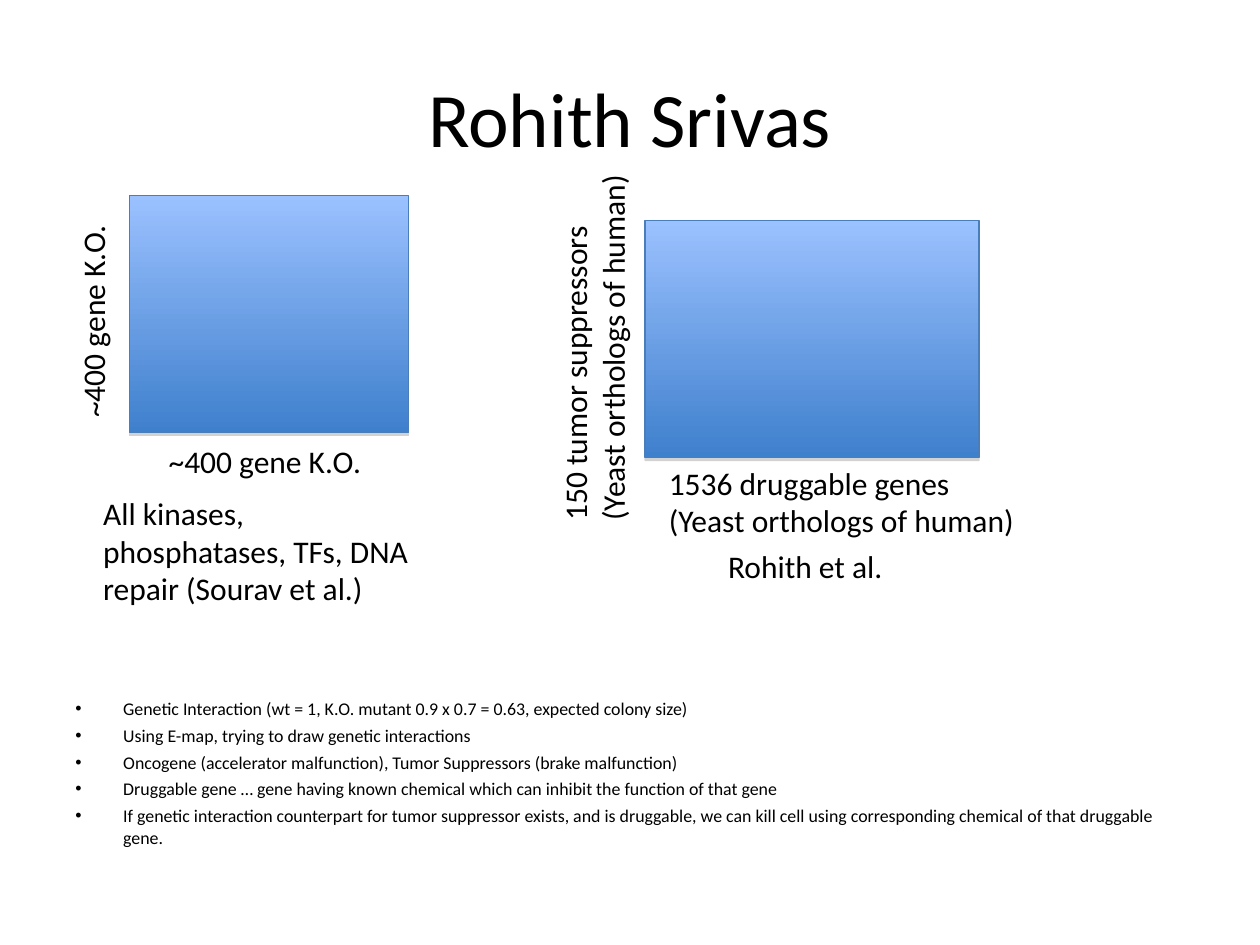
"""Build the slide on gene knock-out screens and druggable genes."""
from lxml.etree import SubElement
from pptx import Presentation
from pptx.dml.color import RGBColor
from pptx.enum.shapes import MSO_SHAPE
from pptx.enum.text import MSO_ANCHOR, MSO_AUTO_SIZE, PP_ALIGN
from pptx.oxml.ns import qn
from pptx.util import Inches, Pt

THEME = {
    "font": "Calibri",
    "text": "000000",
    "gradient": ("9BC1FF", "3F80CD"),
    "outline": "4A7EBB",
    "shadow": "808080",
    "title_size": 44,
    "label_size": 18,
    "bullet_size": 10.2,
}
SLIDE_SIZE = Inches(10), Inches(7.5)

TITLE = ("Rohith Srivas", (5, 4, 90, 16.67))
BULLETS = (
    [
        "Genetic Interaction (wt = 1, K.O. mutant 0.9 x 0.7 = 0.63, expected colony size)",
        "Using E-map, trying to draw genetic interactions",
        "Oncogene (accelerator malfunction), Tumor Suppressors (brake malfunction)",
        "Druggable gene … gene having known chemical which can inhibit the function of that gene",
        "If genetic interaction counterpart for tumor suppressor exists, and is druggable, "
        "we can kill cell using corresponding chemical of that druggable gene.",
    ],
    (5, 73.2, 90, 16.13),
)
SCREENS = [
    {
        "matrix": (10.3, 20.67, 22.1, 25.07),
        "labels": [
            (["~400 gene K.O."], (-1.3, 31.33, 17.3, 5.33), 270, False),
            (["~400 gene K.O."], (12.4, 46.13, 17.3, 5.33), 0, False),
            (["All kinases, phosphatases, TFs, DNA repair (Sourav et al.)"],
             (7.2, 51.6, 27, 13.33), 0, True),
        ],
    },
    {
        "matrix": (51.2, 23.33, 26.5, 25.07),
        "labels": [
            (["150 tumor suppressors", "(Yeast orthologs of human)"],
             (32.3, 32, 29.6, 9.33), 270, False),
            (["1536 druggable genes", "(Yeast orthologs of human)"],
             (52.1, 48.4, 29.6, 9.33), 0, False),
            (["Rohith et al."], (56.8, 57.2, 14.3, 5.33), 0, False),
        ],
    },
]


def place(percentages):
    return [round(SLIDE_SIZE[i % 2] * share / 100) for i, share in enumerate(percentages)]


def apply(target, formats):
    for attribute, value in formats.items():
        setattr(target, attribute, value)


def add_text(slide, lines, area, size, frame_format, paragraph_format=None):
    box = slide.shapes.add_textbox(*place(area))
    frame = box.text_frame
    apply(frame, {"word_wrap": True, **frame_format})
    frame.text = "\n".join(lines)
    for paragraph in frame.paragraphs:
        apply(paragraph, paragraph_format or {})
        apply(paragraph.font, {"name": THEME["font"], "size": Pt(size)})
        paragraph.font.color.rgb = RGBColor.from_string(THEME["text"])
    return box


def add_bullets(slide, lines, area):
    box = add_text(slide, lines, area, THEME["bullet_size"], {}, {"space_before": Pt(3)})
    for paragraph in box.text_frame.paragraphs:
        properties = paragraph._p.get_or_add_pPr()
        properties.set("marL", str(Inches(0.38)))
        properties.set("indent", str(-Inches(0.38)))
        SubElement(properties, qn("a:buFont"), typeface="Arial")
        SubElement(properties, qn("a:buChar"), char="•")


def add_matrix(slide, area):
    matrix = slide.shapes.add_shape(MSO_SHAPE.RECTANGLE, *place(area))
    matrix.fill.gradient()
    matrix.fill.gradient_angle = 270
    for stop, color in zip(matrix.fill.gradient_stops, THEME["gradient"]):
        stop.color.rgb = RGBColor.from_string(color)
    matrix.line.color.rgb = RGBColor.from_string(THEME["outline"])
    matrix.line.width = Pt(0.75)
    matrix.shadow.inherit = False
    effects = matrix._element.spPr.find(qn("a:effectLst"))
    shadow = SubElement(effects, qn("a:outerShdw"), blurRad="0", dist=str(Pt(1.8)),
                        dir="5400000", rotWithShape="0")
    shade = SubElement(shadow, qn("a:srgbClr"), val=THEME["shadow"])
    SubElement(shade, qn("a:alpha"), val="35000")


def main():
    deck = Presentation()
    deck.slide_width, deck.slide_height = SLIDE_SIZE
    slide = deck.slides.add_slide(deck.slide_layouts[6])

    heading, heading_area = TITLE
    add_text(slide, [heading], heading_area, THEME["title_size"],
             {"vertical_anchor": MSO_ANCHOR.MIDDLE}, {"alignment": PP_ALIGN.CENTER})
    add_bullets(slide, *BULLETS)
    for screen in SCREENS:
        add_matrix(slide, screen["matrix"])
        for lines, area, rotation, wraps in screen["labels"]:
            label = add_text(slide, lines, area, THEME["label_size"],
                             {"word_wrap": wraps, "auto_size": MSO_AUTO_SIZE.SHAPE_TO_FIT_TEXT})
            label.rotation = rotation
    deck.save("out.pptx")


if __name__ == "__main__":
    main()
